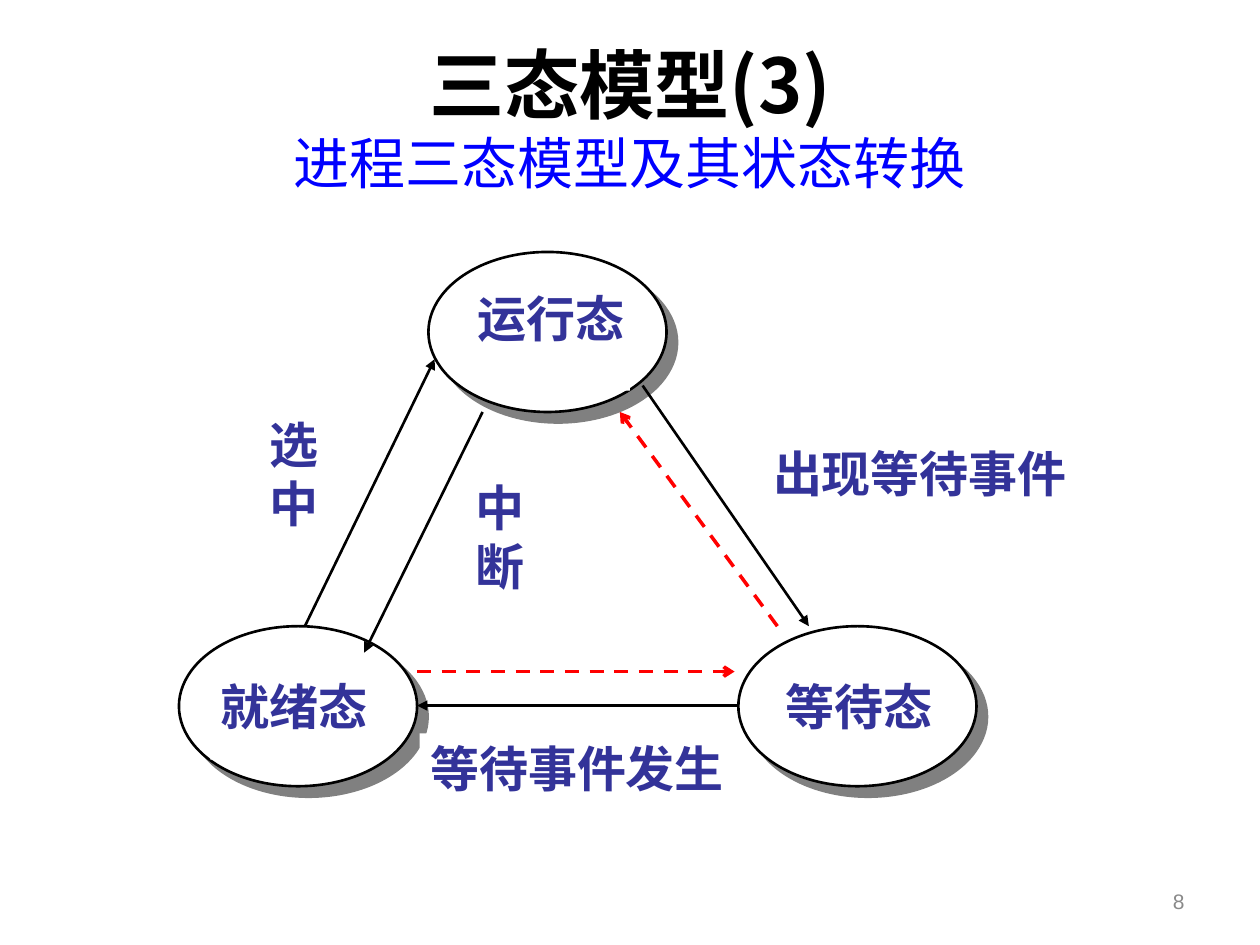
"""Build the slide on the three-state process model and its transitions."""
from dataclasses import dataclass

import lxml.etree
import pptx
import pptx.dml.color
import pptx.enum.dml
import pptx.enum.shapes
import pptx.enum.text
import pptx.oxml
import pptx.oxml.ns
import pptx.util
from pptx.util import Inches


@dataclass(frozen=True)
class Theme:
    cjk: str = "Noto Sans CJK SC"
    latin: str = "Arial"
    black: str = "000000"
    white: str = "FFFFFF"
    blue: str = "0000FF"
    label: str = "333399"
    shadow: str = "808080"
    red: str = "FF0000"
    grey: str = "898989"
    title_size: int = 43
    subtitle_size: int = 32
    label_size: int = 28
    number_size: int = 12


theme = Theme()
rgb = pptx.dml.color.RGBColor.from_string
qn = pptx.oxml.ns.qn
align = pptx.enum.text.PP_ALIGN
anchor = pptx.enum.text.MSO_ANCHOR
preset = pptx.enum.shapes.MSO_SHAPE


def format_span(span, size, color, bold, name=theme.cjk):
    span.font.size = pptx.util.Pt(size)
    span.font.bold = bold
    span.font.color.rgb = rgb(color)
    span.font.name = name
    east_asian = lxml.etree.SubElement(span.font._element, qn("a:ea"))
    east_asian.set("typeface", name)


def add_arrow(start, end, color, width, head, dashed=False):
    arrow = page.shapes.add_connector(
        pptx.enum.shapes.MSO_CONNECTOR.STRAIGHT,
        *[Inches(value) for value in (*start, *end)])
    arrow.line.color.rgb = rgb(color)
    arrow.line.width = pptx.util.Pt(width)
    if dashed:
        arrow.line.dash_style = pptx.enum.dml.MSO_LINE.DASH
    tail = lxml.etree.SubElement(arrow.line._get_or_add_ln(), qn("a:tailEnd"))
    tail.set("type", head)
    lxml.etree.SubElement(arrow._element.spPr, qn("a:effectLst"))


deck = pptx.Presentation()
deck.slide_width, deck.slide_height = Inches(10), Inches(7.5)
page = deck.slides.add_slide(deck.slide_layouts[5])

title = page.shapes.title
title.left, title.top = Inches(0.5), Inches(0.3)
title.width, title.height = Inches(9), Inches(1.25)
title.text_frame.text = "三态模型(3)\v进程三态模型及其状态转换"
title.text_frame.vertical_anchor = anchor.MIDDLE
title.text_frame.auto_size = pptx.enum.text.MSO_AUTO_SIZE.NONE
para = title.text_frame.paragraphs[0]
para.alignment = align.CENTER
format_span(para.runs[0], theme.title_size, theme.black, True)
format_span(para.runs[1], theme.subtitle_size, theme.blue, False)

number = page.shapes.add_textbox(Inches(7.17), Inches(6.95), Inches(2.33), Inches(0.4))
number.text_frame.word_wrap = True
number.text_frame.vertical_anchor = anchor.MIDDLE
number.text_frame.text = "8"
para = number.text_frame.paragraphs[0]
para.alignment = align.RIGHT
format_span(para.runs[0], theme.number_size, theme.grey, False, theme.latin)

for left, top in [(3.4, 2), (1.42, 4.97), (5.86, 4.97)]:
    state = page.shapes.add_shape(
        preset.OVAL, Inches(left), Inches(top), Inches(1.89), Inches(1.27))
    state.fill.solid()
    state.fill.fore_color.rgb = rgb(theme.white)
    state.line.color.rgb = rgb(theme.black)
    state.line.width = pptx.util.Pt(1.5)
    state.shadow.inherit = False
    effects = state._element.spPr.find(qn("a:effectLst"))
    shadow = lxml.etree.SubElement(effects, qn("a:outerShdw"))
    shadow.set("dist", str(pptx.util.Pt(8.5)))
    shadow.set("dir", str(45 * 60000))
    shadow.set("algn", "ctr")
    shadow.set("rotWithShape", "0")
    lxml.etree.SubElement(shadow, qn("a:srgbClr")).set("val", theme.shadow)

for start, end in [
    ((2.42, 4.97), (3.45, 2.85)),
    ((3.83, 3.27), (2.89, 5.18)),
    ((5.1, 3.06), (6.42, 4.97)),
    ((5.86, 5.6), (3.31, 5.6)),
]:
    add_arrow(start, end, theme.black, 1.5, "triangle")

for text, *place in [
    ("运行态", 3.75, 2.25, 1.25, 0.85),
    ("就绪态", 1.67, 5.33, 1.32, 0.7),
    ("等待态", 6.17, 5.33, 1.3, 0.68),
    ("选中", 2, 3.25, 0.66, 1.09),
    ("中断", 3.64, 3.75, 0.66, 1.01),
    ("出现等待事件", 6.01, 3.48, 2.58, 0.6),
    ("等待事件发生", 3.33, 5.82, 2.5, 0.6),
]:
    box = page.shapes.add_shape(preset.RECTANGLE, *[Inches(value) for value in place])
    box.fill.solid()
    box.fill.fore_color.rgb = rgb(theme.white)
    box.line.fill.background()
    box.shadow.inherit = False
    frame = box.text_frame
    frame.word_wrap = True
    frame.vertical_anchor = anchor.TOP
    frame.margin_left = frame.margin_right = frame.margin_bottom = 0
    frame.margin_top = Inches(0.04)
    frame.text = text
    para = frame.paragraphs[0]
    para.alignment = align.CENTER
    format_span(para.runs[0], theme.label_size, theme.label, True)

for start, end in [((3.31, 5.33), (5.83, 5.33)), ((6.17, 4.97), (4.92, 3.27))]:
    add_arrow(start, end, theme.red, 2, "arrow", dashed=True)

deck.save("out.pptx")
